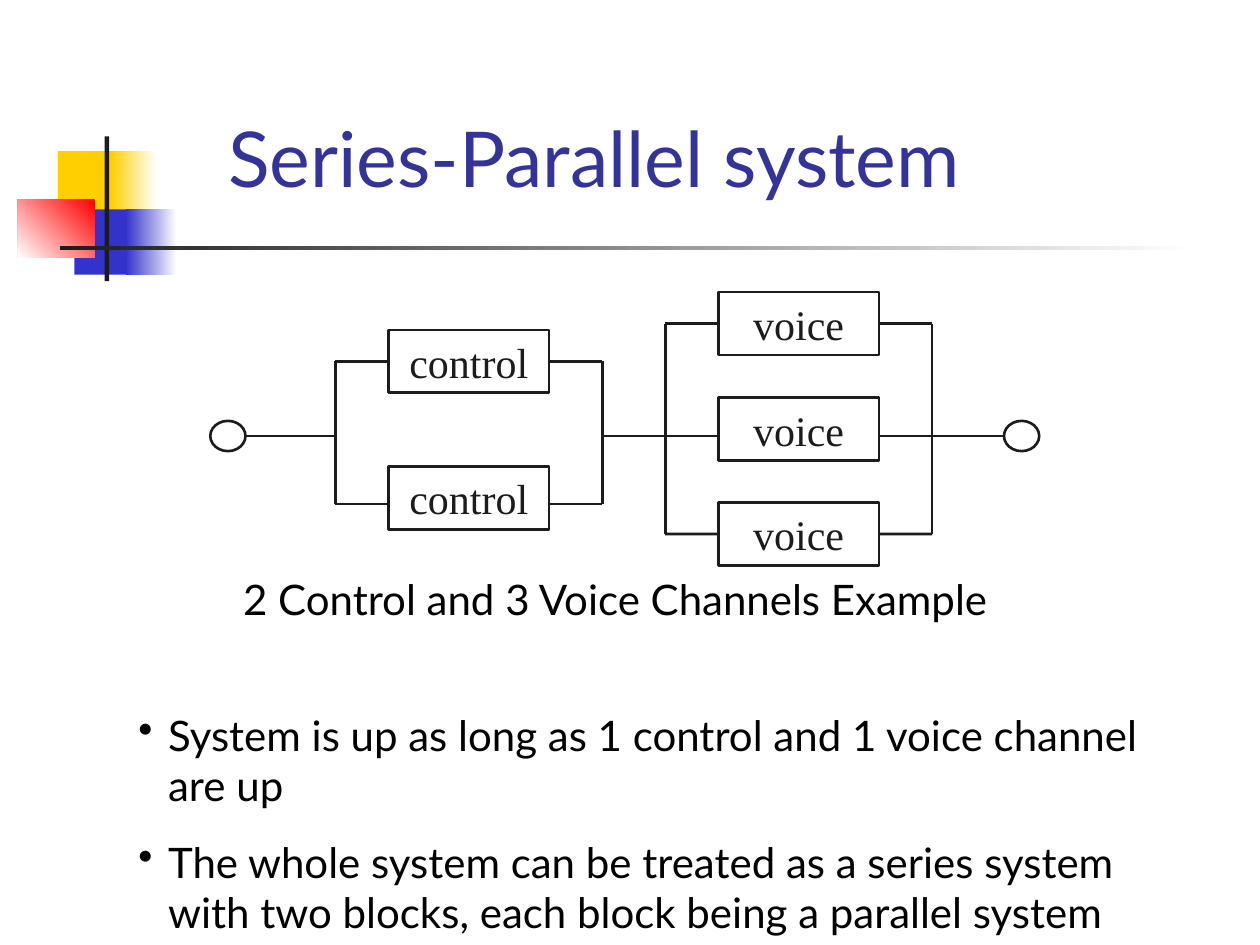
from dataclasses import dataclass

from lxml import etree
from pptx import Presentation
from pptx.dml.color import RGBColor
from pptx.enum.shapes import MSO_CONNECTOR, MSO_SHAPE
from pptx.enum.text import MSO_ANCHOR, PP_ALIGN
from pptx.oxml.ns import qn
from pptx.util import Cm, Pt

RECTANGLE, OVAL = MSO_SHAPE.RECTANGLE, MSO_SHAPE.OVAL
STRAIGHT = MSO_CONNECTOR.STRAIGHT
CENTER, LEFT = PP_ALIGN.CENTER, PP_ALIGN.LEFT
TOP, MIDDLE, BOTTOM = MSO_ANCHOR.TOP, MSO_ANCHOR.MIDDLE, MSO_ANCHOR.BOTTOM
LEFT_SIDE, RIGHT_SIDE = 1, 3


@dataclass(frozen=True)
class Theme:
    white: str = "FFFFFF"
    ink: str = "1C1C1C"
    black: str = "000000"
    title: str = "333399"
    yellow: str = "FFCF01"
    blue: str = "3333CC"
    red: str = "FF0000"
    sans: str = "Lato"
    serif: str = "Times New Roman"
    title_size: float = 44
    body_size: float = 24
    line: float = 1.5


THEME = Theme()


def rgb(value):
    return RGBColor.from_string(value)


def style_text(frame, font, size, color, align=LEFT, anchor=TOP):
    frame.word_wrap = True
    frame.vertical_anchor = anchor
    for para in frame.paragraphs:
        para.alignment = align
        for span in para.runs:
            span.font.name = font
            span.font.size = Pt(size)
            span.font.color.rgb = rgb(color)


def add_text(page, box, text, size, color, align=LEFT, anchor=TOP):
    frame = page.shapes.add_textbox(*map(Cm, box)).text_frame
    frame.text = text
    style_text(frame, THEME.sans, size, color, align, anchor)
    return frame


def add_block(shapes, box, colors, angle=0):
    """Borderless rectangle: one colour is solid, two make a gradient."""
    block = shapes.add_shape(RECTANGLE, *map(Cm, box))
    block.shadow.inherit = False
    block.line.fill.background()
    if len(colors) == 1:
        block.fill.solid()
        block.fill.fore_color.rgb = rgb(colors[0])
        return
    block.fill.gradient()
    block.fill.gradient_angle = angle
    for stop, color in zip(block.fill.gradient_stops, colors):
        stop.color.rgb = rgb(color)


def add_ornament(page, box):
    left, top = box
    blocks = [
        (0.81, 0.30, 1.22, 1.32, (THEME.yellow,), 0),
        (1.88, 0.30, 0.91, 1.32, (THEME.white, THEME.yellow), 180),
        (1.14, 1.47, 1.17, 1.32, (THEME.blue,), 0),
        (2.18, 1.47, 1.02, 1.32, (THEME.white, THEME.blue), 180),
        (0, 1.27, 1.55, 1.17, (THEME.red, THEME.white), 225),
        (1.75, 0, 0.09, 2.92, (THEME.ink,), 0),
        (0.86, 2.20, 22.86, 0.09, (THEME.white, THEME.ink), 180),
    ]
    for x, y, width, height, colors, angle in blocks:
        add_block(page.shapes, (left + x, top + y, width, height), colors, angle)


def add_outlined(shapes, kind, box):
    shape = shapes.add_shape(kind, *map(Cm, box))
    shape.shadow.inherit = False
    shape.fill.solid()
    shape.fill.fore_color.rgb = rgb(THEME.white)
    shape.line.color.rgb = rgb(THEME.ink)
    shape.line.width = Pt(THEME.line)
    return shape


def add_wire(shapes, start, end):
    wire = shapes.add_connector(STRAIGHT, *map(Cm, (*start, *end)))
    wire.line.color.rgb = rgb(THEME.ink)
    wire.line.width = Pt(THEME.line)
    etree.SubElement(wire.element.spPr, qn("a:effectLst"))
    return wire


def add_bank(shapes, box, label, channels):
    """Parallel channels between two rails; each is (top offset, wire offset or None).

    A wire without an offset joins the middle of its channel's sides.
    """
    left, top, width = box
    stub, height = 1.07, 1.27
    right = left + width
    levels = []
    for offset, wire_offset in channels:
        channel = add_outlined(shapes, RECTANGLE,
                               (left + stub, top + offset, width - 2 * stub, height))
        channel.text_frame.text = label
        style_text(channel.text_frame, THEME.serif, THEME.body_size, THEME.ink,
                   CENTER, MIDDLE)
        joined = wire_offset is None
        y = top + (offset + height / 2 if joined else wire_offset)
        levels.append(y)
        inlet = add_wire(shapes, (left, y), (left + stub, y))
        outlet = add_wire(shapes, (right - stub, y), (right, y))
        if joined:
            inlet.end_connect(channel, LEFT_SIDE)
            outlet.begin_connect(channel, RIGHT_SIDE)
    for x in (left, right):
        add_wire(shapes, (x, levels[0]), (x, levels[-1]))


def add_circuit(page, box):
    left, top, width = box
    shapes = page.shapes.add_group_shape().shapes
    trunk = 2.9
    bank_width = 5.38
    control, voice = 2.52, 9.17
    terminal_width, terminal_height = 0.71, 0.61

    add_bank(shapes, (left + control, top, bank_width), "control",
             [(0.76, None), (3.51, 4.27)])
    add_bank(shapes, (left + voice, top, bank_width), "voice",
             [(0, None), (2.13, trunk), (4.24, None)])
    for x in (0, width - terminal_width):
        add_outlined(shapes, OVAL, (left + x, top + trunk - terminal_height / 2,
                                    terminal_width, terminal_height))
    y = top + trunk
    for start, end in [(terminal_width, control),
                       (control + bank_width, voice),
                       (voice + bank_width, width - terminal_width)]:
        add_wire(shapes, (left + start, y), (left + end, y))


def add_bullets(page, box, items):
    frame = add_text(page, box, "\n".join(items), THEME.body_size, THEME.black)
    for index, para in enumerate(frame.paragraphs):
        properties = para._p.get_or_add_pPr()
        properties.set("marL", str(Cm(0.6)))
        properties.set("indent", str(-Cm(0.6)))
        bullet_color = etree.SubElement(properties, qn("a:buClr"))
        etree.SubElement(bullet_color, qn("a:srgbClr"), val=THEME.black)
        etree.SubElement(properties, qn("a:buChar"), char="•")
        if index:
            para.space_before = Pt(15)


def main():
    deck = Presentation()
    deck.slide_width, deck.slide_height = Cm(25.4), Cm(19.05)
    page = deck.slides.add_slide(deck.slide_layouts[6])

    add_ornament(page, (0.36, 2.75))
    add_text(page, (1.7, 1.47, 20.96, 2.74), "Series-Parallel system ",
             THEME.title_size, THEME.title, CENTER, BOTTOM)
    caption = add_text(page, (4.65, 11.63, 20.75, 5.08),
                       "2 Control and 3 Voice Channels Example",
                       THEME.body_size, THEME.black)
    caption.paragraphs[0].line_spacing = 0.8
    add_circuit(page, (4.24, 5.89, 16.71))
    add_bullets(page, (2.54, 14.17, 21.16, 5.87), [
        "System is up as long as 1 control and 1 voice channel are up",
        "The whole system can be treated as a series system with two blocks, "
        "each block being a parallel system",
    ])
    deck.save("out.pptx")


if __name__ == "__main__":
    main()
